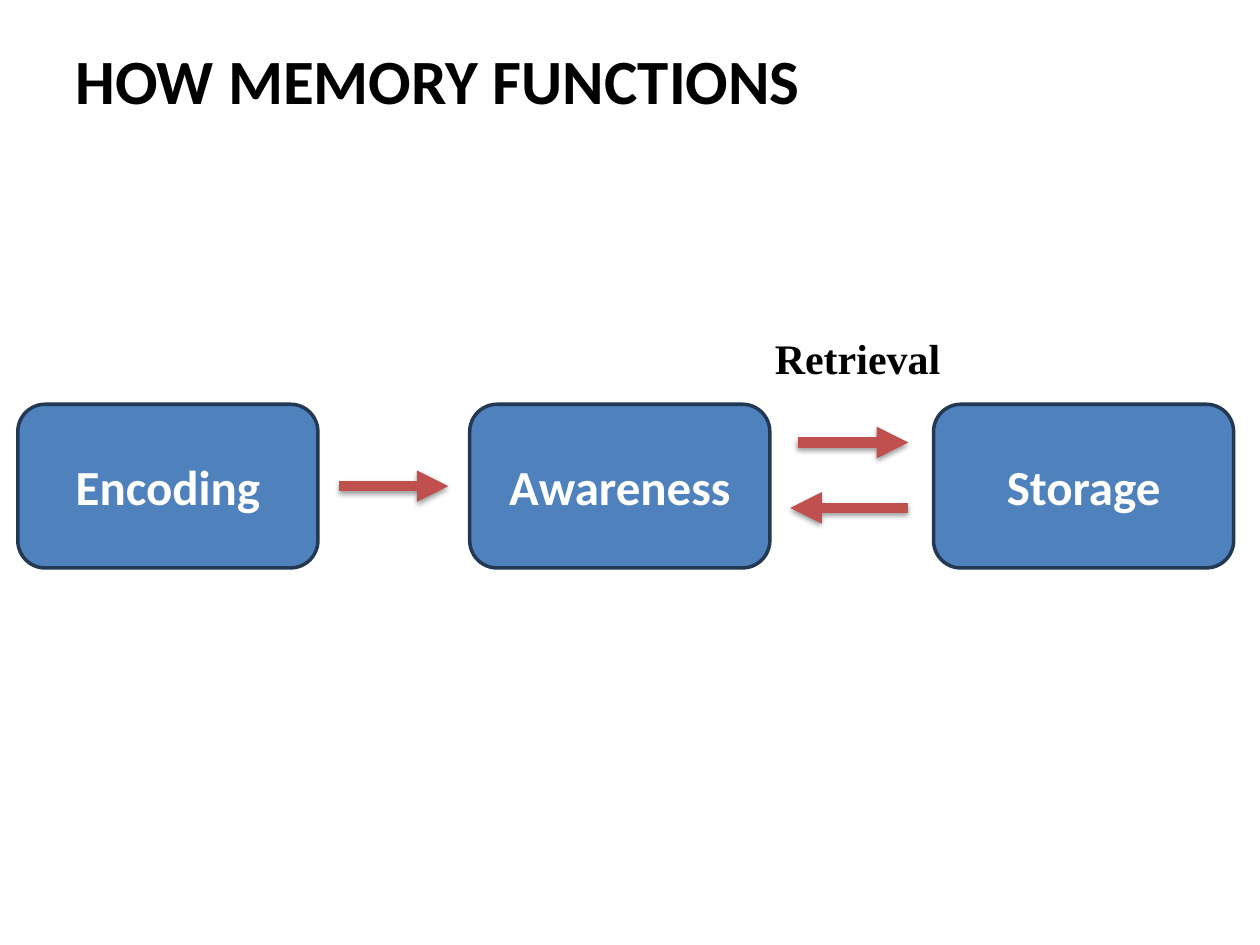
from lxml import etree
from pptx import Presentation
from pptx.dml.color import RGBColor
from pptx.enum.shapes import MSO_CONNECTOR, MSO_SHAPE
from pptx.enum.text import MSO_ANCHOR, MSO_AUTO_SIZE, PP_ALIGN
from pptx.oxml import parse_xml
from pptx.oxml.ns import nsdecls, qn
from pptx.util import Cm, Pt

ROUNDED = MSO_SHAPE.ROUNDED_RECTANGLE
STRAIGHT = MSO_CONNECTOR.STRAIGHT
LEFT, CENTER = PP_ALIGN.LEFT, PP_ALIGN.CENTER
TOP, MIDDLE, BOTTOM = MSO_ANCHOR.TOP, MSO_ANCHOR.MIDDLE, MSO_ANCHOR.BOTTOM
FIT_SHAPE = MSO_AUTO_SIZE.SHAPE_TO_FIT_TEXT

ARROW_SHADOW = f"""<a:effectLst {nsdecls('a')}>
  <a:outerShdw blurRad="{Pt(3.1)}" dist="{Pt(1.6)}" dir="5400000" rotWithShape="0">
    <a:srgbClr val="000000"><a:alpha val="38000"/></a:srgbClr>
  </a:outerShdw>
</a:effectLst>"""


def color(value):
    return RGBColor.from_string(value)


def write(shape, text, *, size, font="Calibri", fill="000000", align=LEFT,
          anchor=TOP, line_spacing=None):
    frame = shape.text_frame
    frame.word_wrap = True
    frame.vertical_anchor = anchor
    paragraph = frame.paragraphs[0]
    paragraph.alignment = align
    if line_spacing:
        paragraph.line_spacing = Pt(line_spacing)
    run = paragraph.add_run()
    run.text = text
    run.font.name = font
    run.font.size = Pt(size)
    run.font.bold = True
    run.font.color.rgb = color(fill)


class MemoryDiagram:
    box_fill = "4F81BD"
    box_line = "233953"
    box_text = "FFFFFF"
    arrow_color = "C0504D"
    box_top, box_width, box_height = 8.15, 6.05, 3.3

    def __init__(self, slide):
        self.slide = slide

    def text(self, text, left, top, width, height, **style):
        box = self.slide.shapes.add_textbox(Cm(left), Cm(top), Cm(width), Cm(height))
        write(box, text, **style)
        return box

    def stage(self, text, left):
        shape = self.slide.shapes.add_shape(
            ROUNDED, Cm(left), Cm(self.box_top), Cm(self.box_width), Cm(self.box_height))
        shape.shadow.inherit = False
        shape.fill.solid()
        shape.fill.fore_color.rgb = color(self.box_fill)
        shape.line.color.rgb = color(self.box_line)
        shape.line.width = Pt(2)
        write(shape, text, size=28, fill=self.box_text, align=CENTER, anchor=MIDDLE)

    def arrow(self, start, end, y):
        connector = self.slide.shapes.add_connector(
            STRAIGHT, Cm(start), Cm(y), Cm(end), Cm(y))
        connector.line.color.rgb = color(self.arrow_color)
        connector.line.width = Pt(6)
        outline = connector.line._get_or_add_ln()
        etree.SubElement(outline, qn("a:tailEnd"), type="triangle")
        connector._element.spPr.append(parse_xml(ARROW_SHADOW))


def main():
    presentation = Presentation()
    presentation.slide_width, presentation.slide_height = Cm(25.4), Cm(19.05)
    slide = presentation.slides.add_slide(presentation.slide_layouts[6])
    diagram = MemoryDiagram(slide)

    diagram.text("HOW MEMORY FUNCTIONS", 1.27, 0.66, 22.4, 1.83,
                 size=36, anchor=BOTTOM, line_spacing=34)
    for name, left in (("Encoding", 0.36), ("Awareness", 9.47), ("Storage", 18.82)):
        diagram.stage(name, left)
    middle = diagram.box_top + diagram.box_height / 2
    for start, end, y in ((6.83, 9.04, middle), (16.08, 18.31, 8.92),
                          (18.31, 15.93, 10.24)):
        diagram.arrow(start, end, y)
    label = diagram.text("Retrieval", 15.37, 6.58, 5.16, 1.27,
                         size=24, font="Times New Roman")
    label.text_frame.auto_size = FIT_SHAPE

    presentation.save("out.pptx")


if __name__ == "__main__":
    main()
